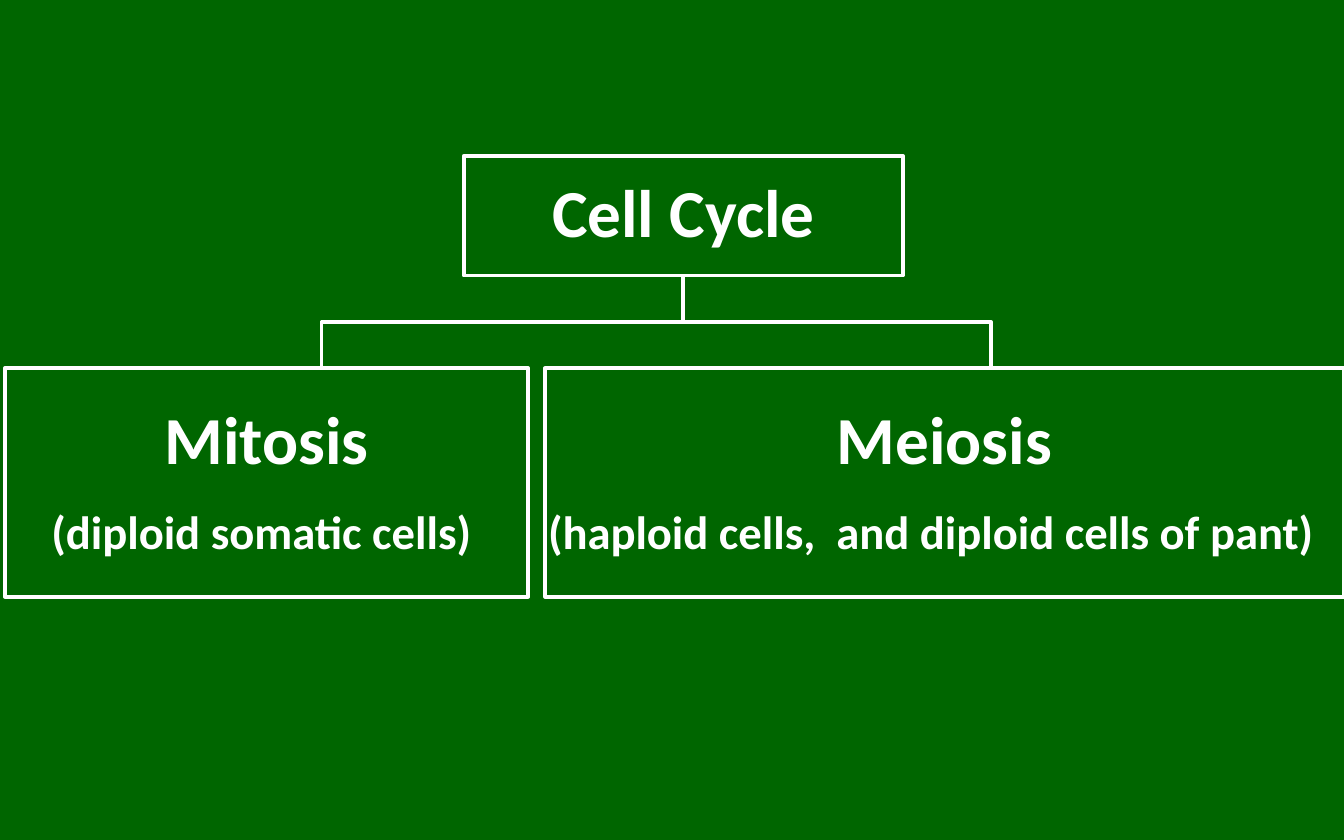
from pptx import Presentation
from pptx.dml.color import RGBColor
from pptx.enum.shapes import MSO_SHAPE
from pptx.enum.text import MSO_ANCHOR, MSO_AUTO_SIZE, PP_ALIGN
from pptx.util import Pt

RECT = MSO_SHAPE.RECTANGLE
MIDDLE = MSO_ANCHOR.MIDDLE
FIXED = MSO_AUTO_SIZE.NONE
CENTER, LEFT = PP_ALIGN.CENTER, PP_ALIGN.LEFT

COLORS = {"back": "006600", "ink": "FFFFFF"}
FONT = "Calibri"
ROOT = {"name": "Cell Cycle", "box": (248.4, 83.5, 235.4, 64.1)}
KIDS = [
    {"name": "Mitosis", "note": "(diploid somatic cells) ", "align": CENTER,
     "left": 2.7, "width": 280.3, "drop": 172.3},
    {"name": "Meiosis", "note": "(haploid cells,  and diploid cells of pant)", "align": LEFT,
     "left": 292, "width": 428, "drop": 530.9},
]
KID_TOP, KID_HIGH = 197.3, 122.4


def color(key):
    return RGBColor.from_string(COLORS[key])


def outline(shape):
    shape.fill.background()
    shape.line.color.rgb = color("ink")
    shape.line.width = Pt(2)


def write(para, text, size, align):
    para.alignment = align
    run = para.add_run()
    run.text = text
    font = run.font
    font.name, font.size, font.bold = FONT, Pt(size), True
    font.color.rgb = color("ink")


def label(shape, name):
    outline(shape)
    frame = shape.text_frame
    frame.word_wrap = True
    frame.auto_size = FIXED
    frame.vertical_anchor = MIDDLE
    frame.margin_left = frame.margin_right = Pt(1.6)
    frame.margin_top = frame.margin_bottom = Pt(1.6)
    para = frame.paragraphs[0]
    para.line_spacing = 0.9
    para.space_before = Pt(0)
    write(para, name, 36, CENTER)
    return frame


deck = Presentation()
deck.slide_width, deck.slide_height = Pt(720), Pt(450)
slide = deck.slides.add_slide(deck.slide_layouts[5])
slide.background.fill.solid()
slide.background.fill.fore_color.rgb = color("back")
shapes = slide.shapes

left, top, width, high = ROOT["box"]
title = shapes.title
title.left, title.top, title.width, title.height = map(Pt, ROOT["box"])
label(title, ROOT["name"])

mid, base = left + width / 2, top + high
bend = (base + KID_TOP) / 2
for kid in KIDS:
    turns = [(mid, bend), (kid["drop"], bend), (kid["drop"], KID_TOP)]
    pen = shapes.build_freeform(Pt(mid), Pt(base))
    pen.add_line_segments([(Pt(x), Pt(y)) for x, y in turns], close=False)
    wire = pen.convert_to_shape()
    wire.shadow.inherit = False
    outline(wire)

for kid in KIDS:
    box = shapes.add_shape(RECT, Pt(kid["left"]), Pt(KID_TOP), Pt(kid["width"]), Pt(KID_HIGH))
    box.shadow.inherit = False
    note = label(box, kid["name"]).add_paragraph()
    note.space_before = Pt(12.6)
    write(note, kid["note"], 25, kid["align"])

deck.save("out.pptx")
